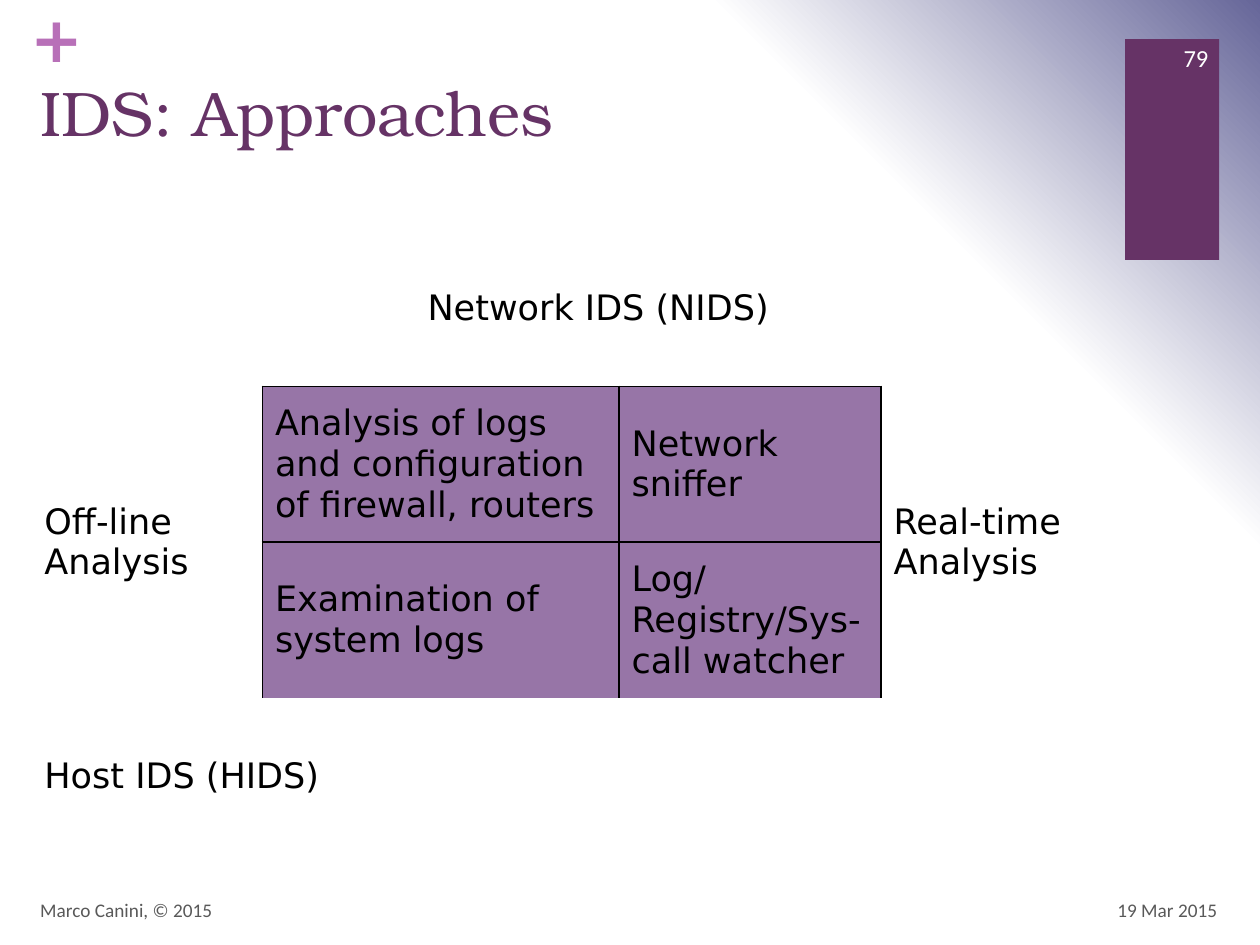
"""Builds the slide on approaches to intrusion detection."""
from lxml.etree import SubElement
from pptx import Presentation
from pptx.dml.color import RGBColor
from pptx.enum.shapes import MSO_SHAPE as Shape
from pptx.enum.text import MSO_ANCHOR as Anchor, PP_ALIGN as Align
from pptx.oxml.ns import qn
from pptx.util import Cm, Pt

PLUM = RGBColor(0x66, 0x33, 0x66)
ORCHID = RGBColor(0xB8, 0x70, 0xB8)
LILAC = RGBColor(0x97, 0x75, 0xA7)
SLATE = RGBColor(0x66, 0x66, 0x99)
GRAY = RGBColor(0x59, 0x59, 0x59)
BLACK = RGBColor(0, 0, 0)
WHITE = RGBColor(0xFF, 0xFF, 0xFF)

APPROACHES = [
    ["Network IDS (NIDS)", "", "", ""],
    ["Off-line Analysis", "Analysis of logs and configuration of firewall, routers",
     "Network sniffer", "Real-time Analysis"],
    ["", "Examination of system logs", "Log/Registry/Sys-call watcher", ""],
    ["Host IDS (HIDS)", "", "", ""],
]
MERGES = [((0, 0), (0, 3)), ((1, 0), (2, 0)), ((1, 3), (2, 3)), ((3, 0), (3, 3))]
COLUMN_WIDTHS = [4.65, 7.19, 5.28, 5.72]
ROW_HEIGHT = 3.14
MIDDLE_BORDERS = ["R", "LRTB", "LRTB", "L"]


class SlideBuilder:
    """Holds the slide and its style, and adds each kind of element."""

    heading_font = "TeX Gyre Bonum"
    body_font = "DejaVu Sans"
    footer_font = "Calibri"

    def __init__(self, slide):
        self.slide = slide

    def corner_glow(self, stops):
        self.slide.background.fill.gradient()
        gradient = self.slide.element.find(".//" + qn("a:gradFill"))
        for child in list(gradient):
            gradient.remove(child)
        stop_list = SubElement(gradient, qn("a:gsLst"))
        for percent, color in stops:
            stop = SubElement(stop_list, qn("a:gs"), pos=str(percent * 1000))
            SubElement(stop, qn("a:srgbClr"), val=str(color))
        circle = SubElement(gradient, qn("a:path"), path="circle")
        SubElement(circle, qn("a:fillToRect"), t="100000", r="100000")

    def panel(self, left, top, width, height, color):
        panel = self.slide.shapes.add_shape(
            Shape.RECTANGLE, Cm(left), Cm(top), Cm(width), Cm(height))
        panel.shadow.inherit = False
        panel.fill.solid()
        panel.fill.fore_color.rgb = color
        panel.line.fill.background()

    def style(self, paragraph, font, size, color, align=Align.LEFT, bold=False):
        paragraph.alignment = align
        paragraph.font.name = font
        paragraph.font.size = Pt(size)
        paragraph.font.color.rgb = color
        paragraph.font.bold = bold

    def text(self, words, left, top, width, height, font, size, color,
             align=Align.LEFT, anchor=Anchor.MIDDLE, bold=False, inset=True):
        frame = self.slide.shapes.add_textbox(
            Cm(left), Cm(top), Cm(width), Cm(height)).text_frame
        frame.word_wrap = True
        frame.vertical_anchor = anchor
        if not inset:
            frame.margin_left = frame.margin_right = 0
            frame.margin_top = frame.margin_bottom = 0
        frame.text = words
        self.style(frame.paragraphs[0], font, size, color, align, bold)

    def borders(self, cell, sides):
        properties = cell._tc.get_or_add_tcPr()
        for position, side in enumerate("LRTB"):
            line = properties.makeelement(qn("a:ln" + side), {"w": str(Pt(1))})
            if side in sides:
                fill = SubElement(line, qn("a:solidFill"))
                SubElement(fill, qn("a:srgbClr"), val=str(BLACK))
            else:
                SubElement(line, qn("a:noFill"))
            properties.insert(position, line)

    def matrix(self, rows, left, top):
        table = self.slide.shapes.add_table(
            len(rows), len(COLUMN_WIDTHS), Cm(left), Cm(top),
            Cm(sum(COLUMN_WIDTHS)), Cm(ROW_HEIGHT * len(rows))).table
        table.first_row = table.horz_banding = False
        for column, width in zip(table.columns, COLUMN_WIDTHS):
            column.width = Cm(width)
        for r, labels in enumerate(rows):
            table.rows[r].height = Cm(ROW_HEIGHT)
            for c, label in enumerate(labels):
                cell = table.cell(r, c)
                middle = r in (1, 2)
                cell.text = label
                cell.vertical_anchor = Anchor.MIDDLE
                paragraph = cell.text_frame.paragraphs[0]
                self.style(paragraph, self.body_font, 20, BLACK,
                           Align.CENTER if r == 0 else Align.LEFT)
                paragraph.space_before = Pt(4)
                if middle and c in (1, 2):
                    cell.fill.solid()
                    cell.fill.fore_color.rgb = LILAC
                else:
                    cell.fill.background()
                self.borders(cell, MIDDLE_BORDERS[c] if middle else "")
        for first, last in MERGES:
            table.cell(*first).merge(table.cell(*last))


def main():
    deck = Presentation()
    deck.slide_width, deck.slide_height = Cm(25.4), Cm(19.05)
    page = SlideBuilder(deck.slides.add_slide(deck.slide_layouts[6]))
    footer = page.footer_font

    page.corner_glow([(0, WHITE), (75, WHITE), (100, SLATE)])
    page.panel(22.68, 0.79, 1.9, 4.45, PLUM)
    page.text("+", 0.61, 0, 0.74, 1.55, page.body_font, 36, ORCHID,
              anchor=Anchor.TOP, bold=True, inset=False)
    page.text("IDS: Approaches", 0.56, 1.35, 21.82, 3.1, page.heading_font, 36, PLUM,
              anchor=Anchor.TOP)
    page.matrix(APPROACHES, 0.64, 4.65)
    page.text("19 Mar 2015", 18.87, 17.83, 5.92, 1.02, footer, 11, GRAY, Align.RIGHT)
    page.text("Marco Canini, © 2015", 0.56, 17.83, 17.02, 1.02, footer, 11, GRAY)
    page.text("79", 23.06, 0.66, 1.55, 1.02, footer, 14, WHITE, Align.RIGHT)
    deck.save("out.pptx")


if __name__ == "__main__":
    main()
